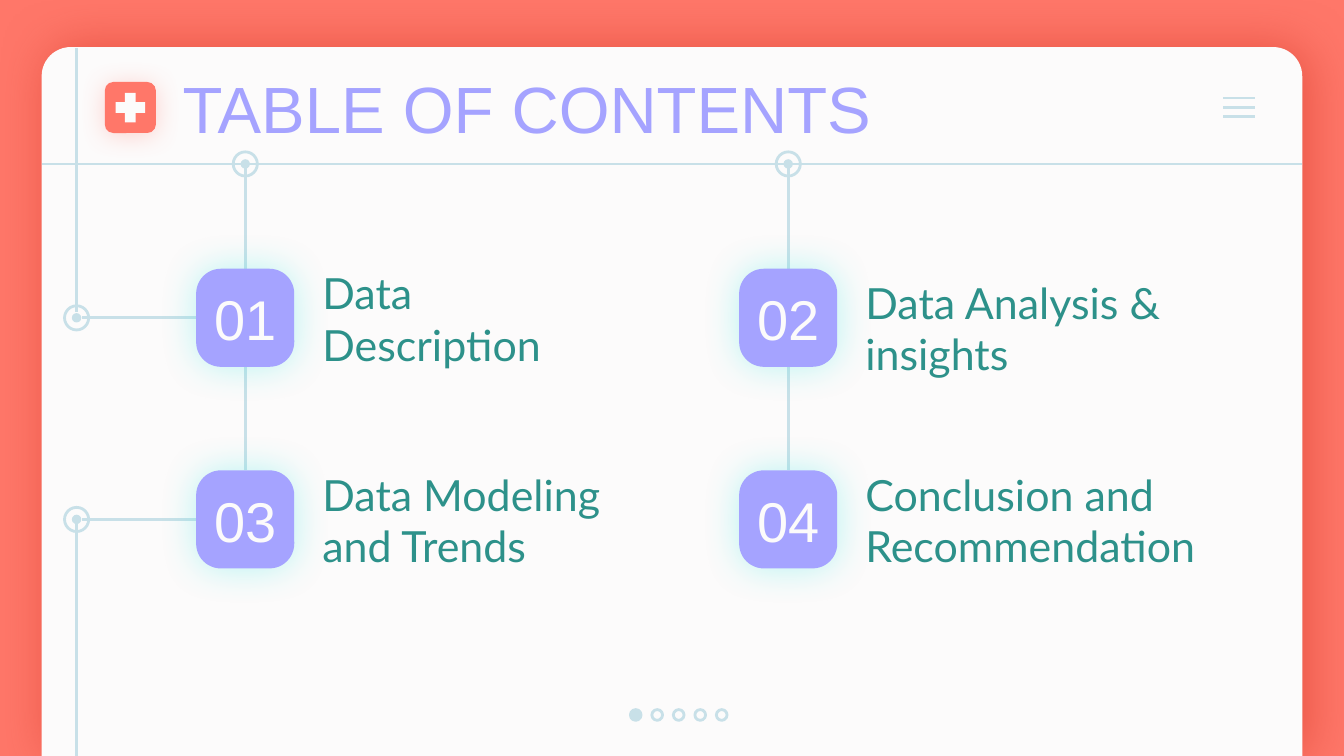
from lxml.etree import SubElement
from pptx import Presentation
from pptx.dml.color import RGBColor
from pptx.enum.shapes import MSO_CONNECTOR, MSO_SHAPE
from pptx.enum.text import MSO_ANCHOR, PP_ALIGN
from pptx.oxml.ns import qn
from pptx.util import Inches, Pt

CORAL = RGBColor(0xFF, 0x77, 0x69)
DARK_CORAL = RGBColor(0xDD, 0x42, 0x31)
PAPER = RGBColor(0xFC, 0xFB, 0xFB)
PALE_BLUE = RGBColor(0xC8, 0xE0, 0xE8)
LILAC = RGBColor(0xA5, 0xA3, 0xFF)
AQUA = RGBColor(0x53, 0xEB, 0xE7)
TEAL = RGBColor(0x2D, 0x91, 0x8A)

PAGE_WIDTH = 10
PAGE_HEIGHT = PAGE_WIDTH * 9 / 16
TILE = 0.73
COLUMNS = (1.46, 5.5)
ROWS = (2, 3.5)
RAIL = 0.57
HEADER_LINE = 1.22
ENTRIES = (
    ("01", "Data Description", 0, 0, 2.5, 0),
    ("02", "Data Analysis & insights", 1, 0, 3.22, 0.07),
    ("03", "Data Modeling and Trends", 0, 1, 2.5, 0),
    ("04", "Conclusion and Recommendation", 1, 1, 3.22, 0),
)


def add_box(page, kind, left, top, width, height, fill=None, line=None, corner=None):
    """Add a preset shape with optional fill, outline and corner size."""
    box = page.shapes.add_shape(kind, Inches(left), Inches(top), Inches(width), Inches(height))
    box.shadow.inherit = False
    if fill is None:
        box.fill.background()
    else:
        box.fill.solid()
        box.fill.fore_color.rgb = fill
    if line is None:
        box.line.fill.background()
    else:
        box.line.color.rgb = line
        box.line.width = Pt(1.5)
    if corner is not None:
        box.adjustments[0] = corner
    return box


def add_glow(box, color, opacity, blur, distance=0, angle=0):
    """Give a shape a soft coloured outer shadow."""
    effects = box._element.spPr.find(qn("a:effectLst"))
    shadow = SubElement(effects, qn("a:outerShdw"), blurRad=str(Pt(blur)), dist=str(Pt(distance)),
                        dir=str(angle * 60000), algn="bl", rotWithShape="0")
    tint = SubElement(shadow, qn("a:srgbClr"), val=str(color))
    SubElement(tint, qn("a:alpha"), val=str(opacity * 1000))


def add_line(page, x1, y1, x2, y2):
    """Draw a pale straight connector."""
    line = page.shapes.add_connector(MSO_CONNECTOR.STRAIGHT, Inches(x1), Inches(y1), Inches(x2), Inches(y2))
    line.line.color.rgb = PALE_BLUE
    line.line.width = Pt(1.5)
    SubElement(line._element.spPr, qn("a:effectLst"))


def add_text(page, text, left, top, width, height, font, size, color, align=PP_ALIGN.LEFT):
    """Add a vertically centred, wrapping text box."""
    frame = page.shapes.add_textbox(Inches(left), Inches(top), Inches(width), Inches(height)).text_frame
    frame.word_wrap = True
    frame.vertical_anchor = MSO_ANCHOR.MIDDLE
    frame.margin_left = frame.margin_right = frame.margin_top = frame.margin_bottom = Inches(0.1)
    para = frame.paragraphs[0]
    para.text = text
    para.alignment = align
    para.font.name = font
    para.font.size = Pt(size)
    para.font.color.rgb = color


def add_node(page, x, y):
    """Draw a ringed dot centred on a point."""
    for size, fill, line in ((0.18, None, PALE_BLUE), (0.07, PALE_BLUE, None)):
        add_box(page, MSO_SHAPE.OVAL, x - size / 2, y - size / 2, size, size, fill, line)


def add_panel(page, left, top, width, height):
    """Draw the rounded page panel with its header line."""
    panel = add_box(page, MSO_SHAPE.ROUND_2_SAME_RECTANGLE, left, top, width, height, PAPER, corner=0.041)
    add_glow(panel, DARK_CORAL, 67, 28.1, 3.8)
    add_line(page, left + width, HEADER_LINE, left, HEADER_LINE)


def add_header(page, left, top, size):
    """Place the cross badge, the title and the menu icon."""
    badge = add_box(page, MSO_SHAPE.ROUNDED_RECTANGLE, left, top, size, size, CORAL, corner=0.167)
    add_glow(badge, CORAL, 30, 13.5, 1.5, 90)
    middle_x, middle_y = left + size / 2, top + size / 2
    for width, height in ((0.08, 0.22), (0.22, 0.08)):
        add_box(page, MSO_SHAPE.RECTANGLE, middle_x - width / 2, middle_y - height / 2, width, height, PAPER)
    add_text(page, "TABLE OF CONTENTS", left + 0.48, top - 0.06, 7.19, 0.5, "Arial", 35, LILAC)
    for step in range(3):
        y = top + 0.12 + step * 0.07
        add_line(page, left + 8.32, y, left + 8.56, y)


def add_rails(page):
    """Draw the lines and nodes that lead to the number tiles."""
    centers = [top + TILE / 2 for top in ROWS]
    for y in centers:
        add_node(page, RAIL, y)
        add_line(page, RAIL + 0.04, y, COLUMNS[0], y)
    add_line(page, RAIL, 0.36, RAIL, centers[0] - 0.04)
    add_line(page, RAIL, centers[1] + 0.03, RAIL, PAGE_HEIGHT)
    for left in COLUMNS:
        x = left + TILE / 2
        add_node(page, x, HEADER_LINE)
        add_line(page, x, HEADER_LINE + 0.03, x, ROWS[0])
        add_line(page, x, ROWS[0] + TILE, x, ROWS[1])


def add_entry(page, left, top, number, label, width, drop):
    """Place a glowing number tile with its label beside it."""
    tile = add_box(page, MSO_SHAPE.ROUNDED_RECTANGLE, left, top, TILE, TILE, LILAC, corner=0.252)
    add_glow(tile, AQUA, 40, 20.2)
    add_text(page, number, left, top + 0.12, TILE, 0.5, "Arial", 30, PAPER, PP_ALIGN.CENTER)
    add_text(page, label, left + 0.84, top + 0.14 + drop, width, 0.46, "Lato", 23, TEAL)


def add_pager(page, left, top, count):
    """Draw the row of page dots with the first one filled."""
    for index in range(count):
        fill = PALE_BLUE if index == 0 else None
        add_box(page, MSO_SHAPE.OVAL, left + index * 0.16, top, 0.08, 0.08, fill, PALE_BLUE)


def main():
    """Build and save the contents slide."""
    deck = Presentation()
    deck.slide_width, deck.slide_height = Inches(PAGE_WIDTH), Inches(PAGE_HEIGHT)
    page = deck.slides.add_slide(deck.slide_layouts[6])
    page.background.fill.solid()
    page.background.fill.fore_color.rgb = CORAL
    add_panel(page, 0.31, 0.35, 9.38, PAGE_HEIGHT - 0.35)
    add_rails(page)
    add_header(page, 0.78, 0.61, 0.38)
    for number, label, column, row, width, drop in ENTRIES:
        add_entry(page, COLUMNS[column], ROWS[row], number, label, width, drop)
    add_pager(page, 4.69, 5.28, 5)
    deck.save("out.pptx")


if __name__ == "__main__":
    main()
